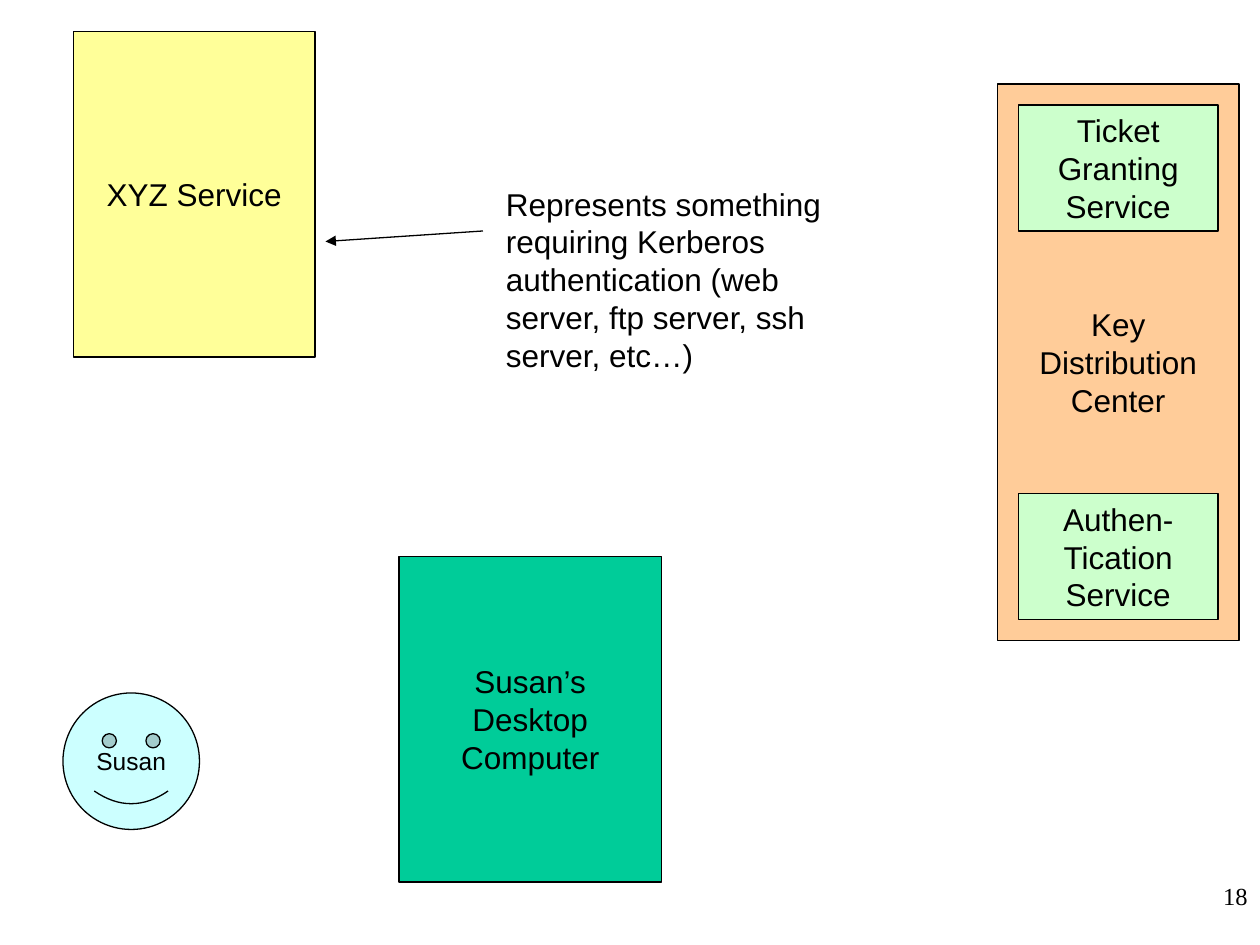
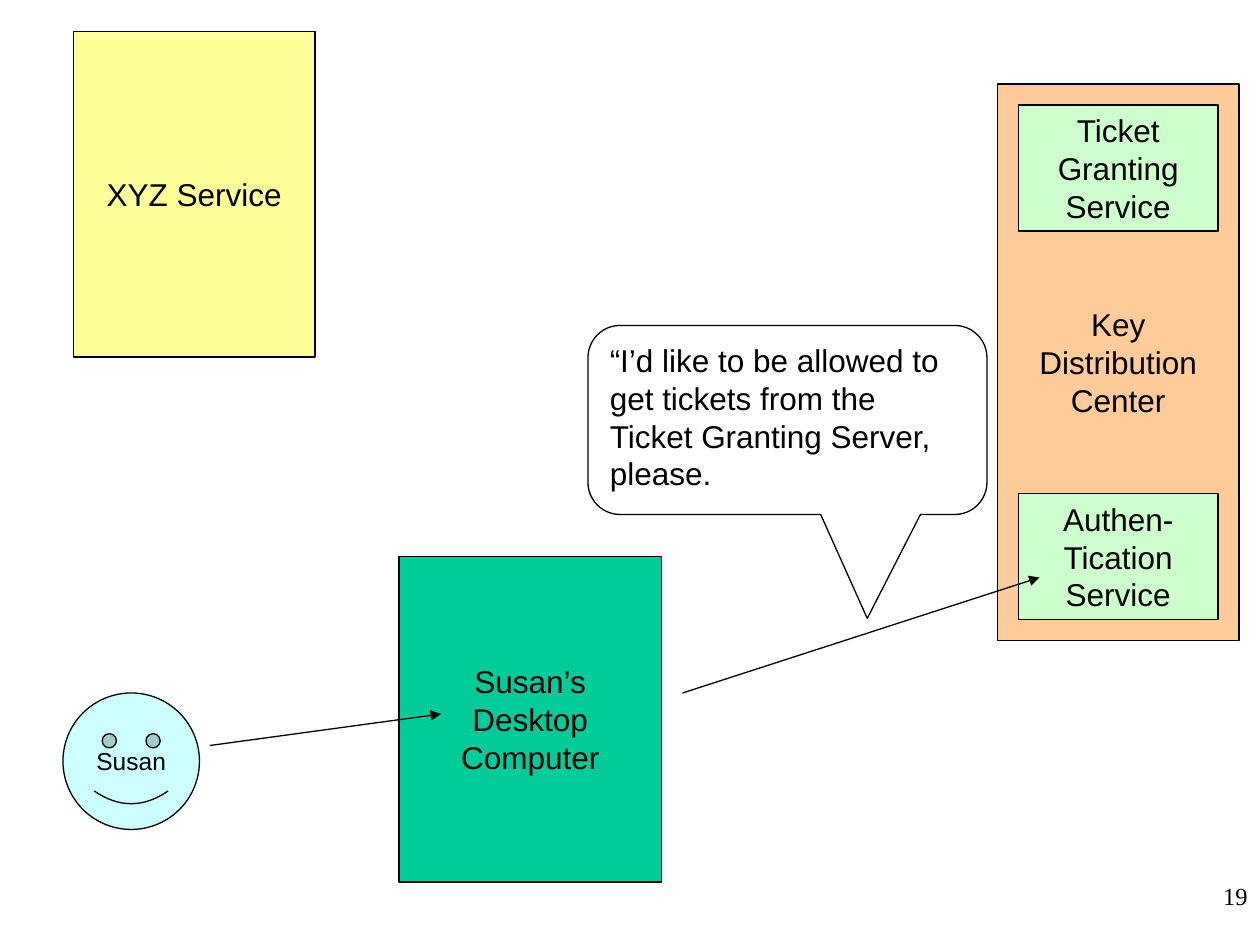
from dataclasses import dataclass
from typing import Any

import pptx
import pptx.util
import pptx.dml.color
import pptx.enum.shapes
import pptx.enum.text
import pptx.oxml.ns
from lxml import etree

COLUMNS, ROWS = 120, 90
SHAPE = pptx.enum.shapes.MSO_SHAPE
ALIGN = pptx.enum.text.PP_ALIGN
ANCHOR = pptx.enum.text.MSO_ANCHOR


@dataclass(frozen=True)
class Theme:
    ink: str = "000000"
    paper: str = "FFFFFF"
    person: str = "CCFFFF"
    center: str = "FFCC99"
    service: str = "CCFFCC"
    resource: str = "FFFF99"
    desktop: str = "00CC99"
    body_font: str = "Arial"
    number_font: str = "Times New Roman"
    body_size: int = 18
    small_size: int = 14
    line_width: float = 0.75


THEME = Theme()


@dataclass(frozen=True)
class Area:
    column: float
    row: float
    columns: float
    rows: float


@dataclass(frozen=True)
class Node:
    text: str
    area: Area
    fill: str
    shape: Any = SHAPE.RECTANGLE
    size: int = THEME.body_size
    adjustments: tuple[float, ...] = ()
    align: Any = ALIGN.CENTER
    anchor: Any = ANCHOR.MIDDLE
    wrap: bool = False


@dataclass(frozen=True)
class Arrow:
    start: tuple[float, float]
    end: tuple[float, float]


@dataclass(frozen=True)
class Note:
    text: str
    area: Area
    font: str = THEME.body_font
    size: int = THEME.body_size
    align: Any = ALIGN.LEFT


@dataclass(frozen=True)
class Scene:
    number: int
    arrows: tuple[Arrow, ...]
    notes: tuple[Note, ...] = ()
    callouts: tuple[Node, ...] = ()


ACTORS = (
    Node("Susan", Area(6, 66, 13, 13), THEME.person, SHAPE.SMILEY_FACE,
         THEME.small_size, (0.09,)),
    Node("Key\nDistribution\nCenter", Area(95, 8, 23, 53), THEME.center),
    Node("Ticket\nGranting\nService", Area(97, 10, 19, 12), THEME.service),
    Node("Authen-\nTication\nService", Area(97, 47, 19, 12), THEME.service),
    Node("XYZ Service", Area(7, 3, 23, 31), THEME.resource),
    Node("Susan’s\nDesktop\nComputer", Area(38, 53, 25, 31), THEME.desktop),
)

SCENES = (
    Scene(
        18,
        arrows=(Arrow((46, 22), (31, 23)),),
        notes=(Note("Represents something requiring Kerberos authentication "
                    "(web server, ftp server, ssh server, etc…)",
                    Area(47, 17, 34, 19.2)),),
    ),
    Scene(
        19,
        arrows=(Arrow((20, 71), (42, 68)), Arrow((65, 66), (99, 55))),
        callouts=(Node("“I’d like to be allowed to get tickets from the "
                       "Ticket Granting Server, please.",
                       Area(56, 31, 38, 18), THEME.paper,
                       SHAPE.ROUNDED_RECTANGULAR_CALLOUT,
                       adjustments=(0.2, 1.05, 0.17), align=ALIGN.LEFT,
                       anchor=ANCHOR.TOP, wrap=True),),
    ),
)


def grid(units: float) -> int:
    return pptx.util.Inches(units * 10 / COLUMNS)


def bounds(area: Area) -> tuple[int, ...]:
    return tuple(map(grid, (area.column, area.row, area.columns, area.rows)))


def color(code: str) -> pptx.dml.color.RGBColor:
    return pptx.dml.color.RGBColor.from_string(code)


def write(box: Any, text: str, *, font: str = THEME.body_font,
          size: int = THEME.body_size, align: Any = ALIGN.LEFT,
          anchor: Any = ANCHOR.TOP, wrap: bool = True) -> None:
    frame = box.text_frame
    frame.word_wrap = wrap
    frame.vertical_anchor = anchor
    for index, line in enumerate(text.split("\n")):
        para = frame.add_paragraph() if index else frame.paragraphs[0]
        para.alignment = align
        span = para.add_run()
        span.text = line
        span.font.name = font
        span.font.size = pptx.util.Pt(size)
        span.font.color.rgb = color(THEME.ink)


def outline(item: Any) -> None:
    item.line.color.rgb = color(THEME.ink)
    item.line.width = pptx.util.Pt(THEME.line_width)


def draw_node(page: Any, node: Node) -> None:
    box = page.shapes.add_shape(node.shape, *bounds(node.area))
    box.shadow.inherit = False
    box.fill.solid()
    box.fill.fore_color.rgb = color(node.fill)
    outline(box)
    for index, value in enumerate(node.adjustments):
        box.adjustments[index] = value
    write(box, node.text, size=node.size, align=node.align,
          anchor=node.anchor, wrap=node.wrap)


def draw_arrow(page: Any, arrow: Arrow) -> None:
    connector = page.shapes.add_connector(
        pptx.enum.shapes.MSO_CONNECTOR.STRAIGHT,
        *map(grid, arrow.start + arrow.end))
    outline(connector)
    qualified = pptx.oxml.ns.qn
    tail = etree.SubElement(connector.line._get_or_add_ln(), qualified("a:tailEnd"))
    tail.set("type", "triangle")
    etree.SubElement(connector._element.spPr, qualified("a:effectLst"))


def draw_note(page: Any, note: Note) -> None:
    box = page.shapes.add_textbox(*bounds(note.area))
    write(box, note.text, font=note.font, size=note.size, align=note.align)


def draw_scene(deck: Any, scene: Scene) -> None:
    page = deck.slides.add_slide(deck.slide_layouts[6])
    number = Note(str(scene.number), Area(114.7, 83.3, 5.3, 4.7),
                  THEME.number_font, THEME.small_size, ALIGN.RIGHT)
    draw_note(page, number)
    for node in ACTORS:
        draw_node(page, node)
    for arrow in scene.arrows:
        draw_arrow(page, arrow)
    for note in scene.notes:
        draw_note(page, note)
    for callout in scene.callouts:
        draw_node(page, callout)


def main() -> None:
    deck = pptx.Presentation()
    deck.slide_width = grid(COLUMNS)
    deck.slide_height = grid(ROWS)
    for scene in SCENES:
        draw_scene(deck, scene)
    deck.save("out.pptx")


if __name__ == "__main__":
    main()
